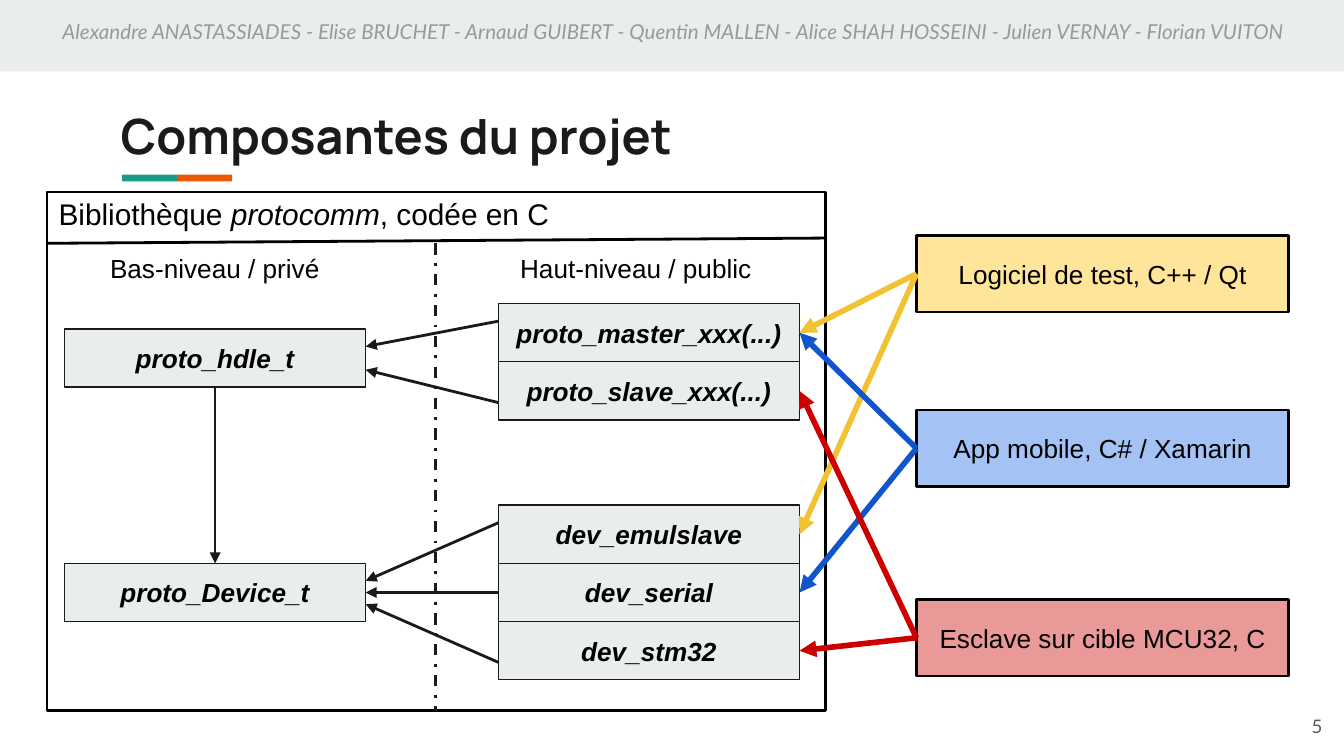
from lxml import etree
from pptx import Presentation
from pptx.dml.color import RGBColor
from pptx.enum import dml, shapes, text
from pptx.oxml import ns
from pptx.util import Cm, Pt

HEX = {
    "black": "000000", "ink": "1A1A1A", "pale": "E9EDEE",
    "teal": "1A9988", "orange": "EB5600", "grey": "999999", "dark": "595959",
    "cream": "FFE599", "sky": "A4C2F4", "rose": "EA9999",
    "gold": "F1C232", "blue": "1155CC", "red": "CC0000",
}
ALIGN = text.PP_ALIGN
LEFT_X, RIGHT_X, APP_X = 1.22, 9.42, 17.32
BOX_W, BOX_H = 5.69, 1.1
APP_W, APP_H = 7.04, 1.45


def rgb(name):
    return RGBColor.from_string(HEX[name])


def write(frame, runs, size, font="Arial", color="black", bold=None,
          italic=None, align=ALIGN.LEFT, anchor=text.MSO_ANCHOR.TOP):
    """Fill a frame with one paragraph; runs are (words, italic) pairs or a string."""
    frame.word_wrap = True
    frame.vertical_anchor = anchor
    frame.margin_left = frame.margin_right = Cm(0.25)
    frame.margin_top = frame.margin_bottom = Cm(0.25)
    par = frame.paragraphs[0]
    par.alignment = align
    par.font.name, par.font.size = font, Pt(size)
    par.font.bold, par.font.italic = bold, italic
    par.font.color.rgb = rgb(color)
    if isinstance(runs, str):
        runs = [(runs, None)]
    for words, slant in runs:
        run = par.add_run()
        run.text = words
        run.font.italic = slant


def label(slide, at, runs, size, **style):
    box = slide.shapes.add_textbox(*map(Cm, at))
    write(box.text_frame, runs, size, **style)


def rect(slide, at, fill=None, line=None, width=1.5):
    box = slide.shapes.add_shape(shapes.MSO_SHAPE.RECTANGLE, *map(Cm, at))
    box.shadow.inherit = False
    if fill:
        box.fill.solid()
        box.fill.fore_color.rgb = rgb(fill)
    else:
        box.fill.background()
    if line:
        box.line.color.rgb = rgb(line)
        box.line.width = Pt(width)
    else:
        box.line.fill.background()
    return box


def node(slide, x, y, words):
    box = rect(slide, (x, y, BOX_W, BOX_H), "pale", "ink", 0.75)
    write(box.text_frame, words, 14, bold=True, italic=True,
          align=ALIGN.CENTER, anchor=text.MSO_ANCHOR.MIDDLE)


def app(slide, y, fill, words):
    box = rect(slide, (APP_X, y, APP_W, APP_H), fill, "black")
    write(box.text_frame, words, 14, align=ALIGN.CENTER,
          anchor=text.MSO_ANCHOR.MIDDLE)


def line(slide, start, end, color="ink", width=1.5, head=True, dash=None):
    link = slide.shapes.add_connector(
        shapes.MSO_CONNECTOR.STRAIGHT, *map(Cm, (*start, *end)))
    link.line.color.rgb = rgb(color)
    link.line.width = Pt(width)
    if dash:
        link.line.dash_style = dash
    if head:
        etree.SubElement(link.line._get_or_add_ln(), ns.qn("a:tailEnd"),
                         type="triangle")
    etree.SubElement(link._element.spPr, ns.qn("a:effectLst"))


def banner(slide):
    rect(slide, (0, 0, 25.4, 1.35), "pale")
    label(slide, (0.2, 0.13, 25.07, 1),
          "Alexandre ANASTASSIADES - Elise BRUCHET - Arnaud GUIBERT - "
          "Quentin MALLEN - Alice SHAH HOSSEINI - Julien VERNAY - "
          "Florian VUITON",
          11, font="Lato", color="grey", italic=True, align=ALIGN.CENTER)
    label(slide, (2.03, 1.75, 21.36, 1.5), "Composantes du projet", 26,
          font="Manrope", color="ink", bold=True)
    for i, color in enumerate(("teal", "orange")):
        rect(slide, (2.31 + 1.04 * i, 3.3, 1.04, 0.13), color)


def library(slide):
    rect(slide, (0.89, 3.63, 14.71, 9.8), line="black")
    label(slide, (0.86, 3.45, 10.52, 0.89),
          [("Bibliothèque ", None), ("protocomm", True),
           (", codée en C", None)], 16)
    line(slide, (15.57, 4.5), (0.89, 4.6), "black", head=False)
    line(slide, (8.23, 4.6), (8.23, 13.43), head=False,
         dash=dml.MSO_LINE.DASH_DOT)
    label(slide, (1.83, 4.52, 4.5, 0.89), "Bas-niveau / privé", 14)
    label(slide, (9.58, 4.52, 5.05, 0.89), "Haut-niveau / public", 14)


def group(slide, low, low_y, top, parts):
    """Draw a private type and the stack of (name, arrow share) that points at it."""
    node(slide, LEFT_X, low_y, low)
    for i, (name, share) in enumerate(parts):
        y = top + i * BOX_H
        node(slide, RIGHT_X, y, name)
        line(slide, (RIGHT_X, y + share * BOX_H),
             (LEFT_X + BOX_W, low_y + share * BOX_H))


def main():
    deck = Presentation()
    deck.slide_width, deck.slide_height = Cm(25.4), Cm(14.29)
    slide = deck.slides.add_slide(deck.slide_layouts[6])
    banner(slide)
    library(slide)

    handle, device = 6.22, 10.65
    proto, dev = 5.74, 9.55
    group(slide, "proto_hdle_t", handle, proto,
          [("proto_master_xxx(...)", 0.3), ("proto_slave_xxx(...)", 0.7)])
    group(slide, "proto_Device_t", device, dev,
          [("dev_emulslave", 0.3), ("dev_serial", 0.5), ("dev_stm32", 0.7)])
    mid = LEFT_X + BOX_W / 2
    line(slide, (mid, handle + BOX_H), (mid, device))

    master, slave = (proto + (i + 0.5) * BOX_H for i in range(2))
    emul, serial, chip = (dev + (i + 0.5) * BOX_H for i in range(3))
    apps = [
        (4.45, "cream", "gold", "Logiciel de test, C++ / Qt", (master, emul)),
        (7.75, "sky", "blue", "App mobile, C# / Xamarin", (master, serial)),
        (11.33, "rose", "red", "Esclave sur cible MCU32, C", (slave, chip)),
    ]
    for y, fill, _, words, _ in apps:
        app(slide, y, fill, words)
    for y, _, color, _, goals in apps:
        for goal in goals:
            line(slide, (APP_X, y + APP_H / 2), (RIGHT_X + BOX_W, goal),
                 color, 3)

    label(slide, (23.72, 13.18, 1.52, 1.1), "5", 10, font="Lato",
          color="dark", align=ALIGN.RIGHT, anchor=text.MSO_ANCHOR.MIDDLE)
    deck.save("out.pptx")


if __name__ == "__main__":
    main()
